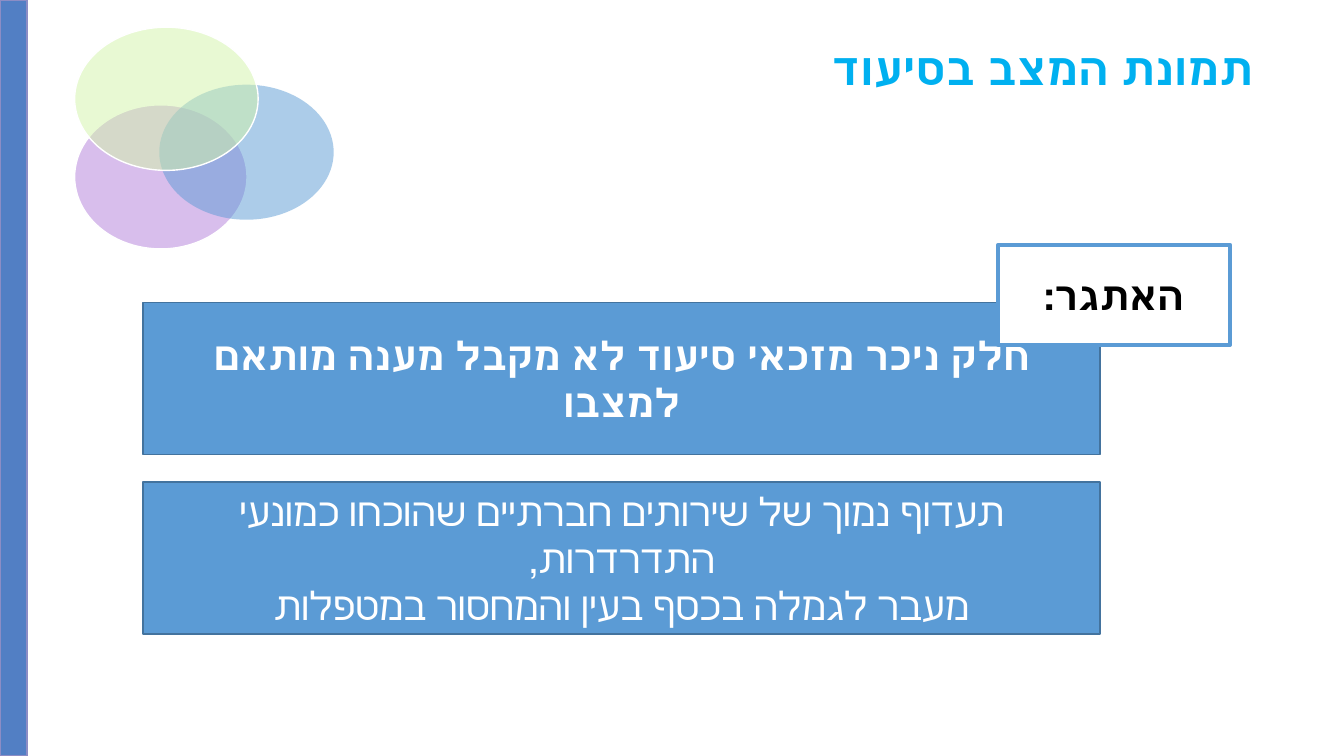
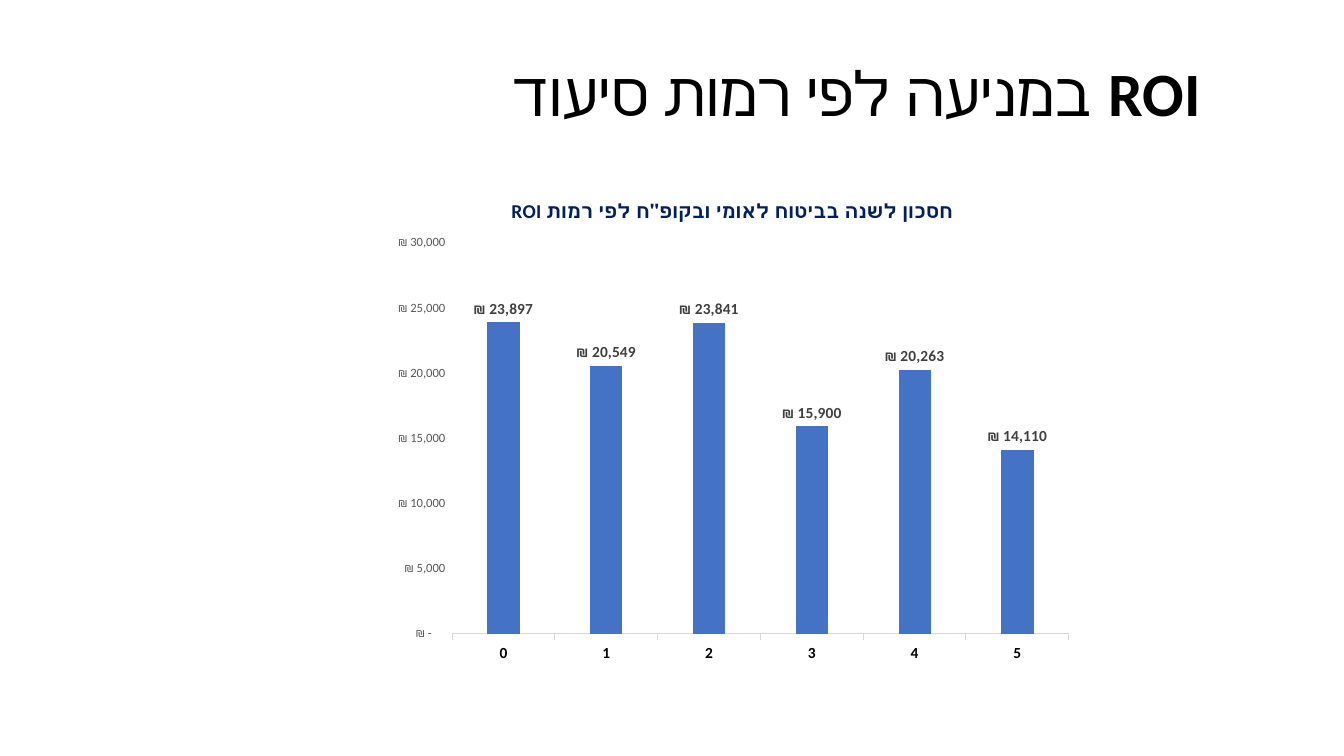
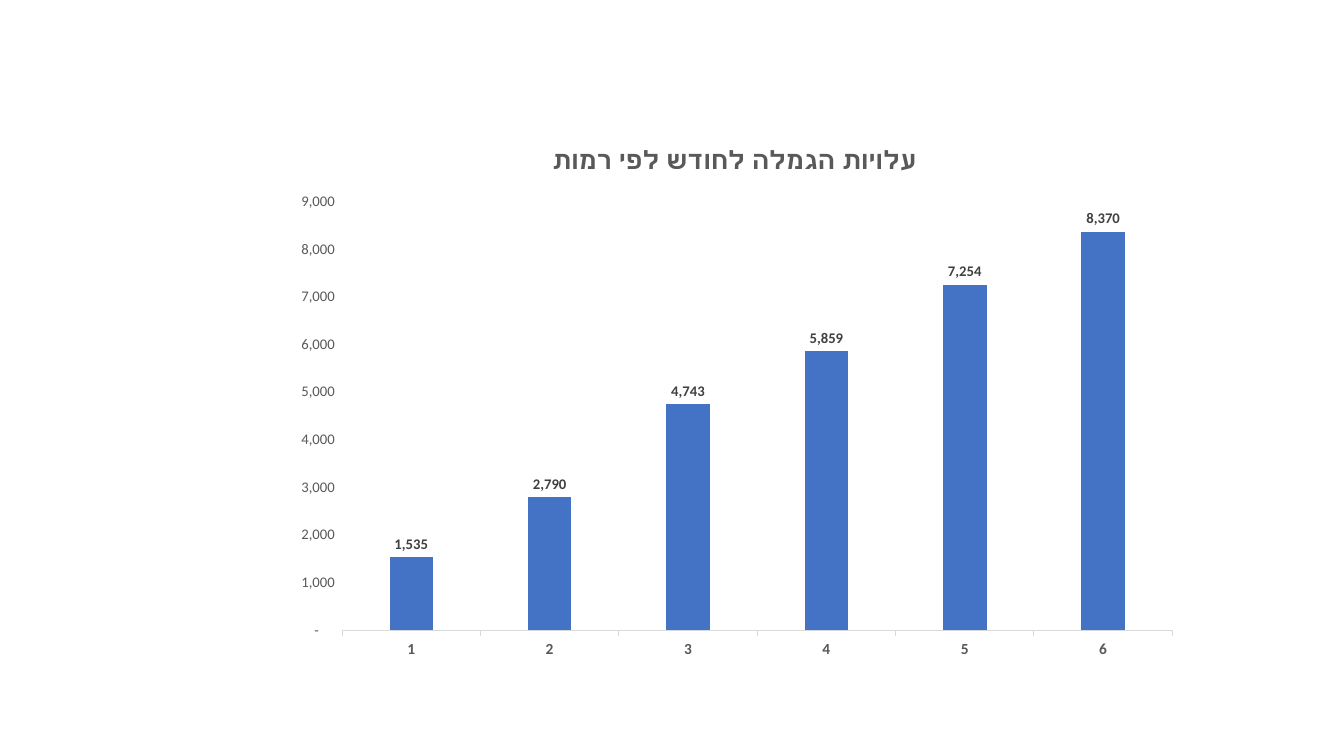
import dataclasses
import typing

import lxml.etree
import pptx
import pptx.chart.data
import pptx.dml.color
import pptx.enum.chart
import pptx.enum.shapes
import pptx.enum.text
import pptx.oxml.ns
import pptx.util
from pptx.util import Inches

FONT = "Calibri"
INK = {
    "white": "FFFFFF", "black": "000000", "cyan": "00B0F0", "navy": "002060",
    "blue": "5B9BD5", "edge": "43739E", "band": "527FC4", "rim": "8C8DC5",
    "lilac": "D8BEEC", "lime": "D3F4A8", "bar": "4472C4",
    "gray": "595959", "dark": "404040", "rule": "D9D9D9",
}
KIND = pptx.enum.shapes.MSO_SHAPE
ALIGN = pptx.enum.text.PP_ALIGN
MID = pptx.enum.text.MSO_ANCHOR.MIDDLE
SHEKEL = r'_ "₪"\ * #,##0_ ;_ "₪"\ * \-#,##0_ ;_ "₪"\ * "-"??_ ;_ @_ '
PLAIN = r'_ * #,##0_ ;_ * \-#,##0_ ;_ * "-"??_ ;_ @_ '


@dataclasses.dataclass
class Box:
    """A preset shape, placed in inches, with optional text."""
    at: tuple[float, float, float, float]
    fill: str
    line: str = ""
    width: float = 1
    kind: typing.Any = KIND.RECTANGLE
    alpha: int = 100
    text: str = ""
    ink: str = "white"
    bold: bool = False


@dataclasses.dataclass
class Graph:
    """A column chart; plot is the inner plot area as shares of the frame."""
    at: tuple[float, float, float, float]
    plot: tuple[float, float, float, float]
    title: str
    size: float
    ink: str
    cats: range
    vals: tuple[int, ...]
    form: str
    top: int
    step: int
    tick: float
    label: float
    cat: str


def rgb(name: str) -> pptx.dml.color.RGBColor:
    return pptx.dml.color.RGBColor.from_string(INK[name])


def span(at: tuple[float, ...]) -> list[pptx.util.Length]:
    return [Inches(n) for n in at]


def style(font: typing.Any, size: float, ink: str, bold: bool = False) -> None:
    font.name, font.size, font.bold = FONT, pptx.util.Pt(size), bold
    font.color.rgb = rgb(ink)


def write(para: typing.Any, text: str, *, size: float, ink: str,
          bold: bool = False) -> None:
    """Add text to a paragraph, with a line break at each newline."""
    for num, part in enumerate(text.split("\n")):
        if num:
            para.add_line_break()
        run = para.add_run()
        run.text = part
        style(run.font, size, ink, bold)


def start(frame: typing.Any, align: typing.Any) -> typing.Any:
    """Return the first paragraph, set right to left."""
    frame.word_wrap = True
    para = frame.paragraphs[0]
    para.alignment = align
    para._p.get_or_add_pPr().set("rtl", "1")
    return para


def draw(slide: typing.Any, box: Box) -> None:
    shape = slide.shapes.add_shape(box.kind, *span(box.at))
    shape.shadow.inherit = False
    shape.fill.solid()
    shape.fill.fore_color.rgb = rgb(box.fill)
    if box.alpha < 100:
        tint = shape._element.spPr.find(".//" + pptx.oxml.ns.qn("a:srgbClr"))
        alpha = lxml.etree.SubElement(tint, pptx.oxml.ns.qn("a:alpha"))
        alpha.set("val", str(box.alpha * 1000))
    if box.line:
        shape.line.color.rgb = rgb(box.line)
        shape.line.width = pptx.util.Pt(box.width)
    else:
        shape.line.fill.background()
    if box.text:
        frame = shape.text_frame
        frame.vertical_anchor = MID
        frame.margin_left = frame.margin_right = Inches(0.2)
        write(start(frame, ALIGN.CENTER), box.text,
              size=28, ink=box.ink, bold=box.bold)


def head(slide: typing.Any, at: tuple[float, float, float, float]) -> typing.Any:
    """Add a right-aligned heading box and return its paragraph."""
    frame = slide.shapes.add_textbox(*span(at)).text_frame
    return start(frame, ALIGN.RIGHT)


def place(chart: typing.Any, plot: tuple[float, float, float, float]) -> None:
    """Fix the inner plot area."""
    qn = pptx.oxml.ns.qn
    area = chart._chartSpace.find(".//" + qn("c:plotArea"))
    old = area.find(qn("c:layout"))
    if old is not None:
        area.remove(old)
    outer = lxml.etree.Element(qn("c:layout"))
    area.insert(0, outer)
    inner = lxml.etree.SubElement(outer, qn("c:manualLayout"))
    pairs = [("layoutTarget", "inner"), ("xMode", "edge"), ("yMode", "edge")]
    pairs += [(key, str(val)) for key, val in zip("xywh", plot)]
    for key, val in pairs:
        lxml.etree.SubElement(inner, qn("c:" + key)).set("val", val)


def graph(slide: typing.Any, item: Graph) -> None:
    enum = pptx.enum.chart
    data = pptx.chart.data.CategoryChartData(number_format=item.form)
    data.categories = [str(n) for n in item.cats]
    data.add_series("Series 1", item.vals)
    chart = slide.shapes.add_chart(
        enum.XL_CHART_TYPE.COLUMN_CLUSTERED, *span(item.at), data).chart
    style(chart.font, 10, "black")
    chart.has_legend = False
    chart.has_title = True
    chart.chart_title.include_in_layout = False
    write(chart.chart_title.text_frame.paragraphs[0], item.title,
          size=item.size, ink=item.ink, bold=True)
    place(chart, item.plot)

    # Columns and their labels
    plot = chart.plots[0]
    plot.gap_width, plot.overlap = 219, -27
    plot.vary_by_categories = False
    fill = plot.series[0].format.fill
    fill.solid()
    fill.fore_color.rgb = rgb("bar")
    plot.has_data_labels = True
    labels = plot.data_labels
    labels.show_value = True
    labels.position = enum.XL_LABEL_POSITION.OUTSIDE_END
    labels.number_format, labels.number_format_is_linked = item.form, False
    style(labels.font, item.label, "dark", True)

    # Axes
    base, side = chart.category_axis, chart.value_axis
    base.has_major_gridlines = side.has_major_gridlines = False
    base.major_tick_mark = enum.XL_TICK_MARK.OUTSIDE
    base.format.line.color.rgb = rgb("rule")
    base.format.line.width = pptx.util.Pt(0.75)
    style(base.tick_labels.font, 11, item.cat, True)
    side.major_tick_mark = enum.XL_TICK_MARK.NONE
    side.format.line.fill.background()
    side.minimum_scale, side.maximum_scale = 0, item.top
    side.major_unit = item.step
    side.tick_labels.number_format = item.form
    side.tick_labels.number_format_is_linked = False
    style(side.tick_labels.font, item.tick, "gray")


BOXES = [
    Box((1.42, 3, 9.49, 1.51), "blue", "edge", bold=True,
        text="חלק ניכר מזכאי סיעוד לא מקבל מענה מותאם למצבו"),
    Box((9.9, 2.43, 2.3, 0.99), "white", "blue", 3,
        text="האתגר:", ink="black", bold=True),
    Box((0, 0, 0.27, 7.5), "band", "rim"),
    Box((1.42, 4.78, 9.49, 1.51), "blue", "edge",
        text="תעדוף נמוך של שירותים חברתיים שהוכחו כמונעי התדרדרות,\n"
             "מעבר לגמלה בכסף בעין והמחסור במטפלות"),
    Box((0.74, 1.04, 1.71, 1.43), "lilac", "white", kind=KIND.OVAL),
    Box((1.58, 0.84, 1.73, 1.34), "blue", kind=KIND.OVAL, alpha=50),
    Box((0.74, 0.27, 1.82, 1.42), "lime", "white", kind=KIND.OVAL, alpha=50),
]
SAVED = Graph(
    (3.79, 1.77, 6.95, 4.91), (0.1, 0.13, 0.88, 0.79),
    'ROI חסכון לשנה בביטוח לאומי ובקופ"ח לפי רמות', 14, "navy",
    range(6), (23897, 20549, 23841, 15900, 20263, 14110),
    SHEKEL, 30000, 5000, 9, 11, "black")
COSTS = Graph(
    (2.76, 1.25, 9.05, 5.38), (0.07, 0.14, 0.91, 0.79),
    "עלויות הגמלה לחודש לפי רמות", 18, "gray",
    range(1, 7), (1535, 2790, 4743, 5859, 7254, 8370),
    PLAIN, 9000, 1000, 10.5, 10.5, "gray")


def main() -> None:
    deck = pptx.Presentation()
    deck.slide_width, deck.slide_height = Inches(13.33), Inches(7.5)
    state, gain, cost = [
        deck.slides.add_slide(deck.slide_layouts[6]) for _ in range(3)]

    # State of nursing care
    write(head(state, (4.57, 0.36, 7.96, 0.64)), "תמונת המצב בסיעוד",
          size=32, ink="cyan", bold=True)
    for box in BOXES:
        draw(state, box)

    # Return on prevention
    para = head(gain, (0.51, 0.23, 11.5, 1.45))
    para.line_spacing = 0.9
    gain.shapes[0].text_frame.vertical_anchor = MID
    write(para, "ROI ", size=44, ink="black", bold=True)
    write(para, "במניעה לפי רמות סיעוד", size=44, ink="black")
    graph(gain, SAVED)

    # Monthly benefit costs
    graph(cost, COSTS)
    deck.save("out.pptx")


if __name__ == "__main__":
    main()
